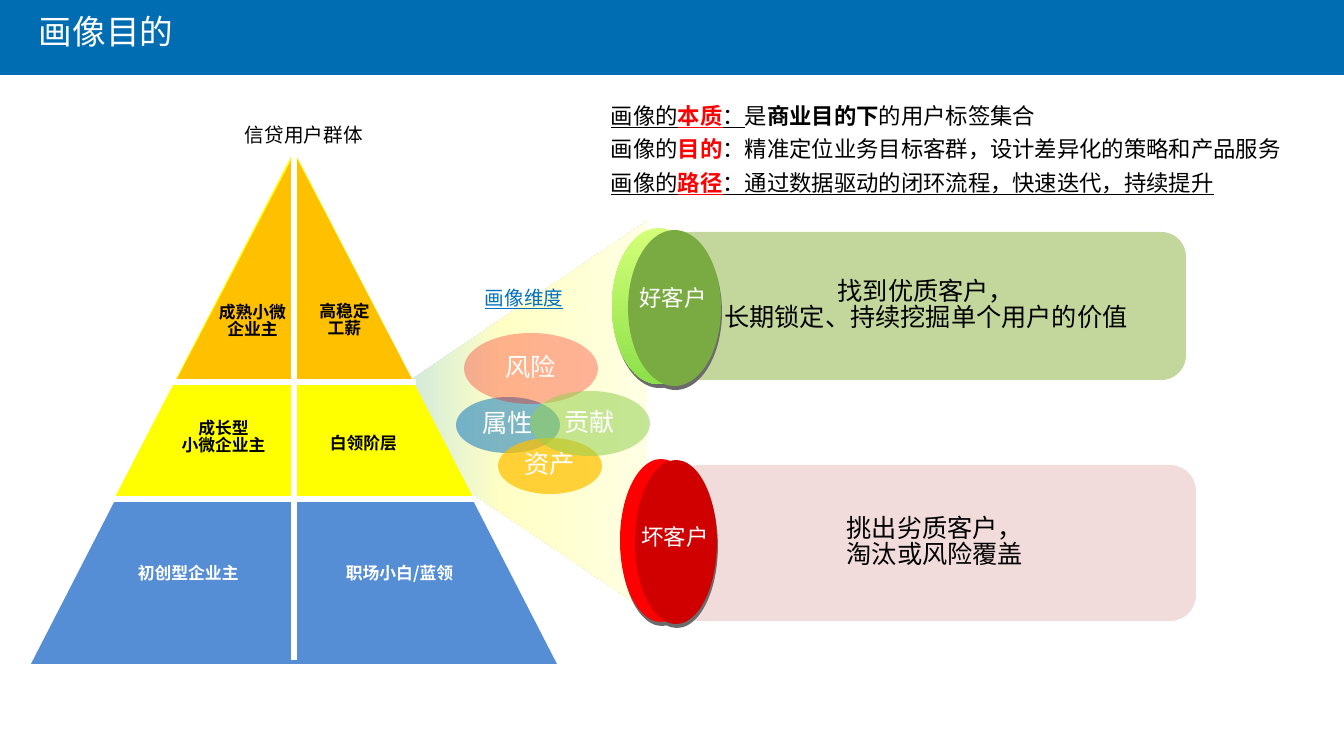
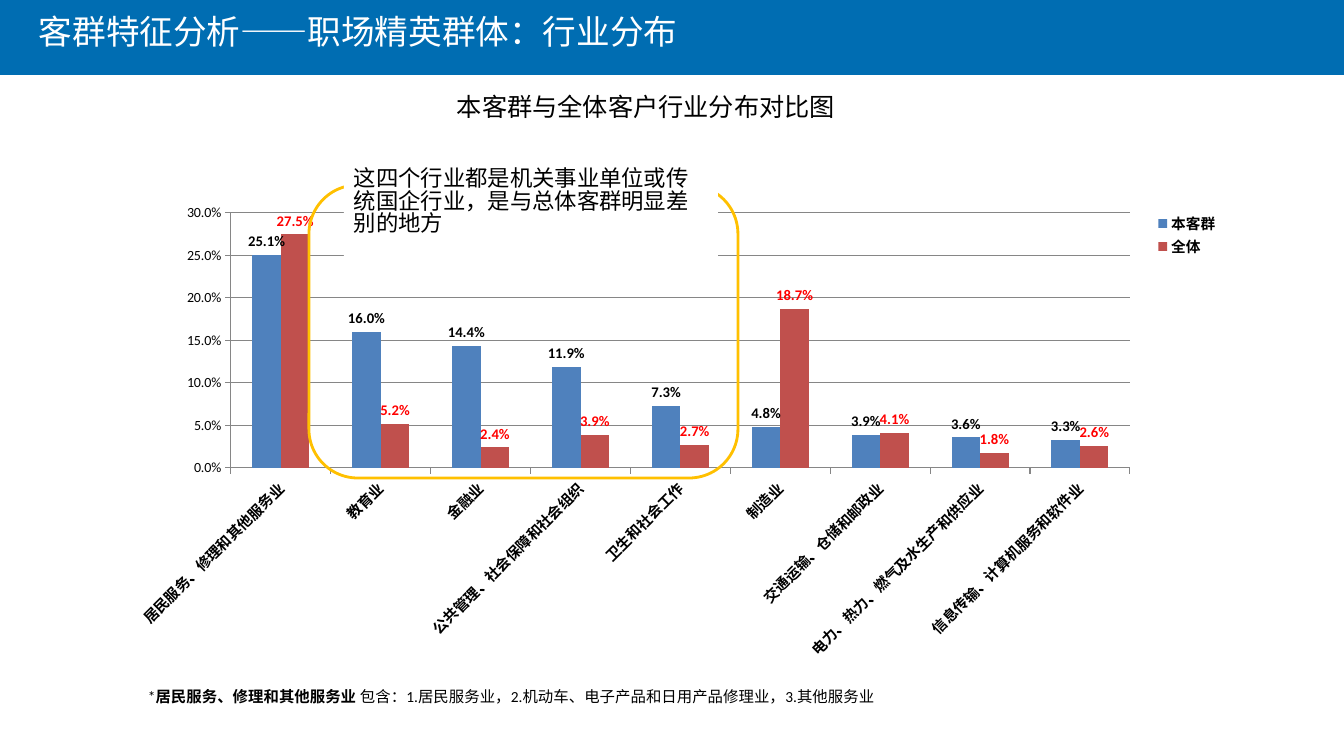
from dataclasses import dataclass
from typing import Any, NamedTuple, Optional, Sequence

import lxml.etree
import pptx
import pptx.chart.data
import pptx.dml.color
import pptx.enum.chart
import pptx.enum.shapes
import pptx.enum.text
import pptx.oxml.ns
import pptx.util

SHAPE = pptx.enum.shapes.MSO_SHAPE
ALIGN = pptx.enum.text.PP_ALIGN
ANCHOR = pptx.enum.text.MSO_ANCHOR
EMU_PER_PX = 914400 / 100.8
CJK, LATIN = "Noto Sans CJK SC", "Calibri"
BLACK, WHITE, RED, BRAND = "000000", "FFFFFF", "FF0000", "006DB2"
AMBER, YELLOW, BLUE, GREEN = "FFC000", "FFFF00", "0070C0", "92D050"
TIGHT, LOOSE = 0.83, 1.25


class Box(NamedTuple):
    x: int
    y: int
    w: int
    h: int


class Run(NamedTuple):
    text: str
    color: str = BLACK
    bold: bool = False
    underline: bool = False


@dataclass
class Label:
    box: Box
    text: str
    size: float
    color: str = BLACK
    bold: bool = False
    underline: bool = False
    align: Any = ALIGN.LEFT


@dataclass
class Block:
    kind: Any
    box: Box
    fill: Optional[str]
    text: str = ""
    color: str = BLACK
    alpha: int = 100


@dataclass
class Disc:
    body: Box
    face: Box
    body_colors: Sequence[str]
    face_color: str
    label: Label


def px(n: float) -> Any:
    return pptx.util.Emu(round(n * EMU_PER_PX))


def rgb(value: str) -> Any:
    return pptx.dml.color.RGBColor.from_string(value)


def sub(parent: Any, tag: str, **attrs: str) -> Any:
    return lxml.etree.SubElement(parent, pptx.oxml.ns.qn(tag), **attrs)


def style(font: Any, size: float, color: str = BLACK, bold: bool = False,
          underline: bool = False, latin: str = CJK) -> None:
    font.size = pptx.util.Pt(size)
    font.bold = bold
    if underline:
        font.underline = True
    font.color.rgb = rgb(color)
    font.name = latin
    sub(font._rPr, "a:ea", typeface=CJK)


def add_block(s: Any, block: Block) -> Any:
    sp = s.shapes.add_shape(block.kind, *map(px, block.box))
    sp.shadow.inherit = False
    sp.line.fill.background()
    if block.fill is None:
        sp.fill.background()
    else:
        sp.fill.solid()
        sp.fill.fore_color.rgb = rgb(block.fill)
        if block.alpha < 100:
            color = sp._element.spPr.find(".//" + pptx.oxml.ns.qn("a:srgbClr"))
            sub(color, "a:alpha", val=str(block.alpha * 1000))
    if block.text:
        sp.text_frame.vertical_anchor = ANCHOR.MIDDLE
        write(sp.text_frame, block.text, 18, block.color, align=ALIGN.CENTER)
    return sp


def set_gradient(sp: Any, colors: Sequence[str]) -> None:
    sp.fill.gradient()
    grad = sp._element.spPr.find(pptx.oxml.ns.qn("a:gradFill"))
    grad.set("rotWithShape", "1")
    for child in list(grad):
        grad.remove(child)
    stops = sub(grad, "a:gsLst")
    for i, color in enumerate(colors):
        stop = sub(stops, "a:gs", pos=str(100000 * i // (len(colors) - 1)))
        sub(stop, "a:srgbClr", val=color)
    sub(grad, "a:lin", ang="5400000", scaled="0")


def write(tf: Any, text: str, size: float, color: str = BLACK, bold: bool = False,
          underline: bool = False, align: Any = ALIGN.LEFT) -> None:
    tf.word_wrap = True
    tf.text = text
    for p in tf.paragraphs:
        p.alignment = align
        p.line_spacing = TIGHT
        for r in p.runs:
            style(r.font, size, color, bold, underline)


def add_label(s: Any, label: Label) -> None:
    tf = s.shapes.add_textbox(*map(px, label.box)).text_frame
    write(tf, label.text, label.size, label.color, label.bold,
          label.underline, label.align)


def add_rich_text(s: Any, box: Box, size: float, spacing: float,
                  lines: Sequence[Sequence[Run]], latin: str = CJK) -> None:
    tf = s.shapes.add_textbox(*map(px, box)).text_frame
    tf.word_wrap = True
    for i, line in enumerate(lines):
        p = tf.add_paragraph() if i else tf.paragraphs[0]
        p.line_spacing = spacing
        for run in line:
            r = p.add_run()
            r.text = run.text
            style(r.font, size, run.color, run.bold, run.underline, latin)


def add_divider(s: Any, x1: int, y1: int, x2: int, y2: int) -> None:
    line = s.shapes.add_connector(pptx.enum.shapes.MSO_CONNECTOR.STRAIGHT,
                                  px(x1), px(y1), px(x2), px(y2))
    line.line.color.rgb = rgb(WHITE)
    line.line.width = pptx.util.Pt(4.5)
    sub(line._element.spPr, "a:effectLst")


def add_disc(s: Any, disc: Disc) -> None:
    for box in (disc.body, disc.face):
        shade = box._replace(x=box.x + 1, y=box.y + 4)
        add_block(s, Block(SHAPE.OVAL, shade, "6B6B6B"))
    body = add_block(s, Block(SHAPE.OVAL, disc.body, disc.face_color))
    set_gradient(body, disc.body_colors)
    add_block(s, Block(SHAPE.OVAL, disc.face, disc.face_color))


def new_slide(prs: Any, title: str) -> Any:
    s = prs.slides.add_slide(prs.slide_layouts[6])
    add_block(s, Block(SHAPE.RECTANGLE, Box(0, 0, 1344, 75), BRAND))
    add_label(s, Label(Box(29, 13, 969, 50), title, 24, WHITE))
    return s


def set_layout(parent: Any, box: Box, outer: Box, inner: bool) -> None:
    for old in parent.findall(pptx.oxml.ns.qn("c:layout")):
        parent.remove(old)
    layout = lxml.etree.Element(pptx.oxml.ns.qn("c:layout"))
    manual = sub(layout, "c:manualLayout")
    if inner:
        sub(manual, "c:layoutTarget", val="inner")
    for axis in "xy":
        sub(manual, f"c:{axis}Mode", val="edge")
    fractions = ((box.x - outer.x) / outer.w, (box.y - outer.y) / outer.h,
                 box.w / outer.w, box.h / outer.h)
    for name, value in zip("xywh", fractions):
        sub(manual, f"c:{name}", val=f"{value:.4f}")
    parent.insert(0 if inner else 1, layout)


def build_purpose(prs: Any) -> None:
    s = new_slide(prs, "画像目的")
    for block in (
        Block(SHAPE.ROUNDED_RECTANGLE, Box(674, 465, 522, 156), "F2DCDB",
              "挑出劣质客户，\n淘汰或风险覆盖"),
        Block(SHAPE.ROUNDED_RECTANGLE, Box(666, 232, 520, 148), "C3D69B",
              "找到优质客户，\n长期锁定、持续挖掘单个用户的价值"),
    ):
        add_block(s, block)
    beam = add_block(s, Block(SHAPE.ISOSCELES_TRIANGLE, Box(307, 271, 391, 290), WHITE))
    beam.rotation = 270
    set_gradient(beam, ("B7DEE8", "FFFFC5", "FFFFE3"))

    for box, fill in ((Box(31, 152, 526, 512), "558ED5"),
                      (Box(115, 151, 358, 346), YELLOW),
                      (Box(176, 154, 237, 227), AMBER)):
        add_block(s, Block(SHAPE.ISOSCELES_TRIANGLE, box, fill))
    for ends in ((294, 148, 294, 660), (171, 382, 416, 382), (112, 499, 474, 499)):
        add_divider(s, *ends)
    for box, text, color, align in (
        (Box(207, 300, 91, 50), "成熟小微企业主", BLACK, ALIGN.CENTER),
        (Box(128, 561, 127, 30), "初创型企业主", WHITE, ALIGN.LEFT),
        (Box(169, 416, 109, 50), "成长型\n小微企业主", BLACK, ALIGN.CENTER),
        (Box(299, 299, 91, 50), "高稳定\n工薪", BLACK, ALIGN.CENTER),
        (Box(336, 561, 145, 30), "职场小白/蓝领", WHITE, ALIGN.LEFT),
        (Box(320, 431, 107, 30), "白领阶层", BLACK, ALIGN.LEFT),
    ):
        add_label(s, Label(box, text, 12, color, bold=True, align=align))
    add_label(s, Label(Box(235, 122, 141, 34), "信贷用户群体", 14))

    for disc in (
        Disc(Box(612, 228, 93, 156), Box(628, 230, 93, 156), ("D4FF78", "8CE04A"),
             "7AAB43", Label(Box(623, 284, 100, 37), "好客户", 16, WHITE,
                             align=ALIGN.CENTER)),
        Disc(Box(620, 459, 82, 163), Box(635, 460, 82, 164), (RED, RED),
             "D00000", Label(Box(625, 523, 100, 37), "坏客户", 16, WHITE,
                             align=ALIGN.CENTER)),
    ):
        add_disc(s, disc)
        add_label(s, disc.label)

    add_rich_text(s, Box(601, 90, 718, 132), 16, LOOSE, (
        (Run("画像的", underline=True), Run("本质", RED, True, True),
         Run("：", underline=True), Run("是"), Run("商业目的下", bold=True),
         Run("的用户标签集合")),
        (Run("画像的"), Run("目的", RED, True),
         Run("：精准定位业务目标客群，设计差异化的策略和产品服务")),
        (Run("画像的", underline=True), Run("路径", RED, True, True),
         Run("：通过数据驱动的闭环流程，快速迭代，持续提升", underline=True)),
    ))
    for box, fill, text, alpha in (
        (Box(456, 397, 104, 56), BLUE, "属性", 51),
        (Box(464, 333, 134, 71), RED, "风险", 30),
        (Box(498, 438, 104, 56), AMBER, "资产", 73),
        (Box(530, 391, 120, 65), GREEN, "贡献", 54),
    ):
        add_block(s, Block(SHAPE.OVAL, box, fill, text, WHITE, alpha))
    add_label(s, Label(Box(475, 285, 102, 34), "画像维度", 14, BLUE, underline=True))


def add_industry_chart(s: Any) -> None:
    frame = Box(117, 196, 1111, 473)
    data = pptx.chart.data.CategoryChartData(number_format="0.0%")
    data.categories = (
        "居民服务、修理和其他服务业", "教育业", "金融业",
        "公共管理、社会保障和社会组织", "卫生和社会工作", "制造业",
        "交通运输、仓储和邮政业", "电力、热力、燃气及水生产和供应业",
        "信息传输、计算机服务和软件业")
    data.add_series("本客群", (0.251, 0.16, 0.144, 0.119, 0.073, 0.048, 0.039, 0.036, 0.033))
    data.add_series("全体", (0.275, 0.052, 0.024, 0.039, 0.027, 0.187, 0.041, 0.018, 0.026))
    chart = s.shapes.add_chart(pptx.enum.chart.XL_CHART_TYPE.COLUMN_CLUSTERED,
                               *map(px, frame), data).chart
    style(chart.font, 10, latin=LATIN)
    chart.has_title = False
    chart.has_legend = True
    chart.legend.position = pptx.enum.chart.XL_LEGEND_POSITION.RIGHT
    chart.legend.include_in_layout = False
    style(chart.legend.font, 10.5, bold=True, latin=LATIN)
    set_layout(chart.legend._element, Box(1150, 211, 74, 48), frame, False)
    plot_area = chart._chartSpace.chart.plotArea
    set_layout(plot_area, Box(231, 213, 899, 255), frame, True)

    plot = chart.plots[0]
    plot.vary_by_categories = False
    plot.gap_width = 150
    plot.overlap = 0
    for series, fill, color in zip(plot.series, ("4F81BD", "C0504D"), (BLACK, RED)):
        series.format.fill.solid()
        series.format.fill.fore_color.rgb = rgb(fill)
        labels = series.data_labels
        labels.show_value = True
        labels.number_format = "0.0%"
        labels.number_format_is_linked = False
        labels.position = pptx.enum.chart.XL_LABEL_POSITION.OUTSIDE_END
        style(labels.font, 10.5, color, True, latin=LATIN)

    values, cats = chart.value_axis, chart.category_axis
    values.minimum_scale, values.maximum_scale, values.major_unit = 0, 0.3, 0.05
    values.tick_labels.number_format = "0.0%"
    values.tick_labels.number_format_is_linked = False
    style(values.tick_labels.font, 10, latin=LATIN)
    style(cats.tick_labels.font, 10.5, bold=True, latin=LATIN)
    cats._element.txPr.bodyPr.set("rot", "-2700000")
    for line in (values.major_gridlines.format.line, values.format.line, cats.format.line):
        line.color.rgb = rgb("868686")
        line.width = pptx.util.Pt(0.75)


def build_industries(prs: Any) -> None:
    s = new_slide(prs, "客群特征分析——职场精英群体：行业分布")
    add_industry_chart(s)
    highlight = add_block(s, Block(SHAPE.ROUNDED_RECTANGLE, Box(309, 185, 429, 293), None))
    highlight.line.color.rgb = rgb(AMBER)
    highlight.line.width = pptx.util.Pt(2)
    note = add_block(s, Block(SHAPE.RECTANGLE, Box(344, 164, 374, 92), WHITE))
    note.text_frame.vertical_anchor = ANCHOR.TOP
    write(note.text_frame, "这四个行业都是机关事业单位或传统国企行业，是与总体客群明显差别的地方", 16)
    add_label(s, Label(Box(447, 92, 404, 40), "本客群与全体客户行业分布对比图", 18))
    add_rich_text(s, Box(138, 685, 751, 48), 11, TIGHT, (
        (Run("*"), Run("居民服务、修理和其他服务业 ", bold=True),
         Run("包含：1.居民服务业，2.机动车、电子产品和日用产品修理业，3.其他服务业")),
    ), LATIN)


prs = pptx.Presentation()
prs.slide_width, prs.slide_height = px(1344), px(756)
build_purpose(prs)
build_industries(prs)
prs.save("out.pptx")
